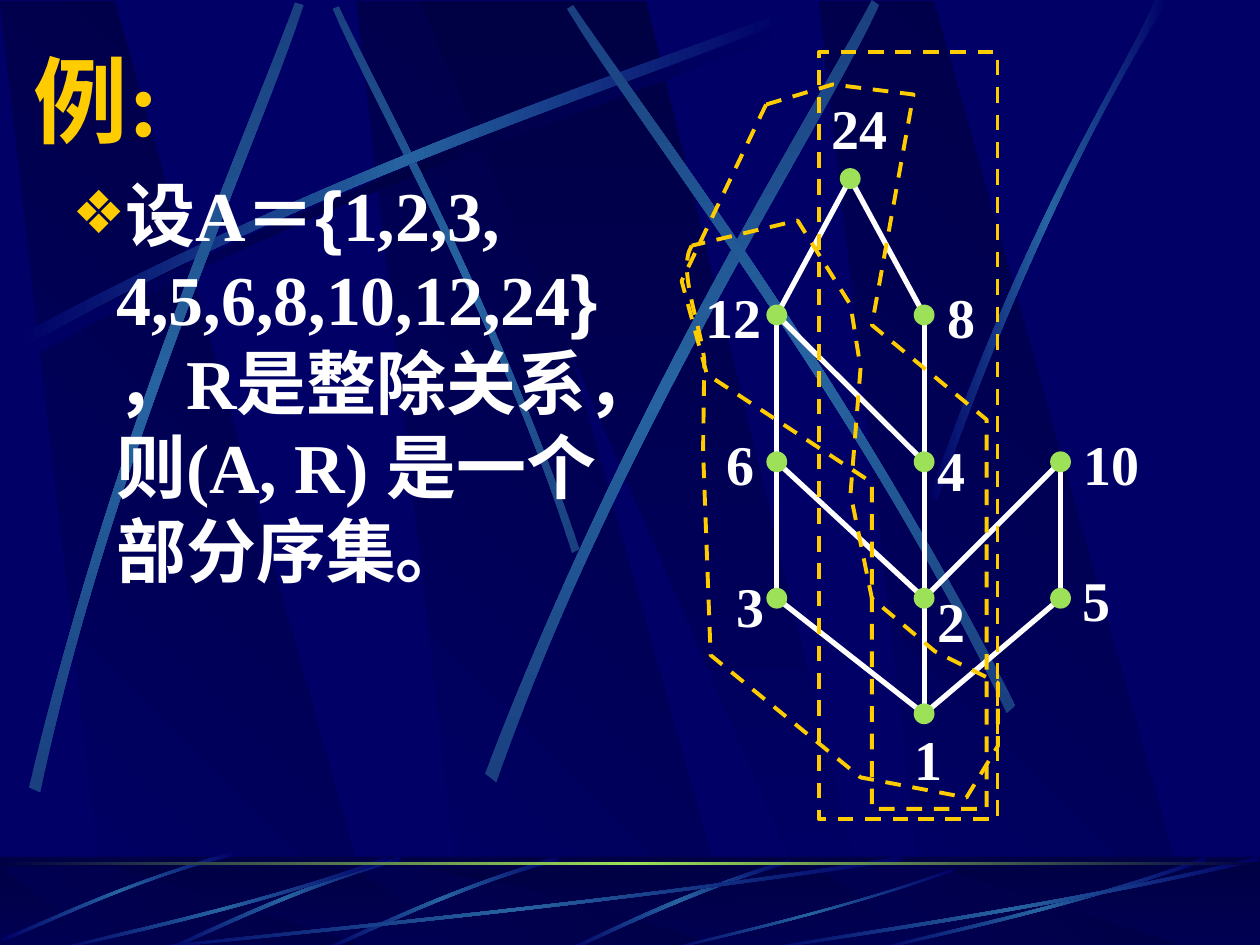
import copy

import pptx
import pptx.dml.color
import pptx.enum.dml
import pptx.enum.shapes
import pptx.enum.text
import pptx.oxml
import pptx.oxml.ns
import pptx.util

Cm = pptx.util.Cm
Pt = pptx.util.Pt
RGB = pptx.dml.color.RGBColor
SHAPE = pptx.enum.shapes.MSO_SHAPE
qn = pptx.oxml.ns.qn
NS = pptx.oxml.ns.nsdecls("a")

NAVY = RGB(0x00, 0x00, 0x66)
NIGHT = RGB(0x00, 0x00, 0x44)
STREAK = RGB(0x26, 0x63, 0xA0)
DIM_STREAK = RGB(0x1A, 0x40, 0x80)
GREEN = RGB(0x9C, 0xE1, 0x57)
GOLD = RGB(0xFF, 0xCC, 0x00)
WHITE = RGB(0xFF, 0xFF, 0xFF)
SERIF, SANS, CJK = "Times New Roman", "Arial", "Noto Sans CJK SC"

deck = pptx.Presentation()
deck.slide_width, deck.slide_height = Cm(25.4), Cm(19.05)
slide = deck.slides.add_slide(deck.slide_layouts[1])
slide.background.fill.solid()
slide.background.fill.fore_color.rgb = NAVY
shapes = slide.shapes


def outline(start, *segments):
    mils = [(segment[i] * 1000, segment[i + 1] * 1000)
            for segment in (start, *segments) for i in range(0, len(segment), 2)]
    builder = shapes.build_freeform(*mils[0], scale=Cm(2.54) / 1000)
    builder.add_line_segments(mils[1:], close=True)
    shape = builder.convert_to_shape()
    shape.shadow.inherit = False
    steps = iter(shape.element.spPr.findall(".//" + qn("a:lnTo")))
    for segment in segments:
        controls = [next(steps) for _ in range(len(segment) // 2)]
        if len(controls) == 3:
            curve = pptx.oxml.parse_xml(f"<a:cubicBezTo {NS}/>")
            controls[0].addprevious(curve)
            for control in controls:
                curve.append(control[0])
                control.getparent().remove(control)
    return shape


def paint(shape, colors, angle=0):
    shape.shadow.inherit = False
    shape.line.fill.background()
    if len(colors) == 1:
        shape.fill.solid()
        shape.fill.fore_color.rgb = colors[0]
        return
    shape.fill.gradient()
    shape.fill.gradient_angle = angle
    stop_list = shape.element.spPr.find(".//" + qn("a:gsLst"))
    for _ in colors[2:]:
        stop_list.append(copy.deepcopy(stop_list[-1]))
    for i, (stop, color) in enumerate(zip(shape.fill.gradient_stops, colors)):
        stop.position = i / (len(colors) - 1)
        stop.color.rgb = color


beams = [(2.83, 3.69, 5.85, 3.74), (0, 0.86, 3.02, 0.91), (6.5, 7.36, 9.52, 7.41)]
wide_beam = (3.33, 6.58, 6.94, 5.13)
fade = [NAVY, STREAK, NAVY]
steep = [DIM_STREAK, STREAK, DIM_STREAK]

upper_streaks = [
    ([NAVY, NIGHT, NAVY], 0, (0.2, 2.75), (2.84, 1.34, 5.24, 0.59, 6.26, 0.18),
     (6.29, 0.24), (5.28, 0.69, 2.54, 1.51, 0.23, 2.85)),
    (steep, 270, (4.6, 4.36), (3.91, 2.34, 3.02, 0.77, 2.69, 0.05),
     (2.64, 0.07), (2.95, 0.79, 3.98, 2.58, 4.54, 4.39)),
    (fade, 0, (0.14, 2.67), (2.78, 1.25, 5.18, 0.51, 6.2, 0.1),
     (6.23, 0.16), (5.22, 0.61, 2.48, 1.43, 0.17, 2.77)),
    (steep, 270, (0.23, 6.25), (0.93, 3.34, 1.97, 1.05, 2.34, 0.02),
     (2.41, 0.04), (2.07, 1.09, 0.86, 3.68, 0.32, 6.29)),
    (steep, 270, (3.85, 6.14), (4.98, 3.2, 6.38, 1.02, 6.92, 0),
     (6.98, 0.04), (6.49, 1.08, 4.86, 3.55, 3.94, 6.21)),
    (steep, 270, (8.06, 5.6), (6.7, 2.93, 5.16, 0.95, 4.55, 0.04),
     (4.5, 0.07), (5.07, 1.01, 6.85, 3.25, 7.99, 5.66)),
    (fade, 0, (7.38, 3.94), (8.14, 1.73, 8.88, 0.66, 9.17, 0),
     (9.27, 0), (8.36, 1.45, 7.69, 3.22, 7.44, 3.97)),
]
lower_streaks = [
    ((6.27, 6.82), (5.37, 7.09, 4.77, 7.42, 4.48, 7.54), (4.53, 7.55),
     (4.9, 7.37, 5.71, 7, 6.28, 6.85)),
    ((4.42, 6.8), (3.55, 7.05, 2.87, 7.4, 2.56, 7.53), (2.57, 7.55),
     (2.88, 7.43, 3.65, 7.03, 4.44, 6.83)),
    ((3.17, 6.8), (2.3, 7.05, 1.62, 7.4, 1.31, 7.53), (1.32, 7.55),
     (1.63, 7.43, 2.4, 7.03, 3.19, 6.83)),
    ((1.85, 6.76), (0.98, 7, 0.32, 7.33, 0.01, 7.45), (0.02, 7.47),
     (0.33, 7.36, 1.08, 6.97, 1.87, 6.79)),
    ((7.17, 6.83), (4.49, 7.23, 2.06, 7.44, 1.03, 7.55), (1, 7.54),
     (2.02, 7.41, 4.8, 7.18, 7.14, 6.8)),
    ((3.08, 6.83), (1.93, 7.23, 0.88, 7.44, 0.43, 7.55), (0.42, 7.54),
     (0.86, 7.41, 2.06, 7.18, 3.07, 6.8)),
    ((7.58, 6.91), (6.58, 7.26, 5.67, 7.45, 5.28, 7.55), (5.27, 7.54),
     (5.65, 7.43, 6.69, 7.22, 7.57, 6.89)),
    ((9.58, 6.83), (8.43, 7.23, 7.38, 7.44, 6.93, 7.55), (6.92, 7.54),
     (7.36, 7.41, 8.56, 7.18, 9.57, 6.8)),
    ((10, 6.83), (8.27, 7.23, 6.69, 7.44, 6.02, 7.55), (6, 7.54),
     (6.66, 7.41, 8.46, 7.18, 9.98, 6.8)),
]

floor_box = (0, Cm(17.27), Cm(25.4), Cm(1.9))
for top, bottom in ((0.01, 7.52), (6.88, 7.55)):
    if top > 1:
        for colors, angle, *edge_points in upper_streaks:
            paint(outline(*edge_points), colors, angle)
        paint(shapes.add_shape(SHAPE.RECTANGLE, *floor_box), [NIGHT, NAVY], 270)
    for a, b, c, d in beams:
        paint(outline((b, bottom), (c, bottom), (d, top), (a, top)), [NAVY, NIGHT], 45)
    a, b, c, d = wide_beam
    paint(outline((a, top), (b, bottom), (c, bottom), (d, top)), [NIGHT, NAVY], 270)

veil = shapes.add_shape(SHAPE.RECTANGLE, *floor_box)
paint(veil, [NIGHT])
veil_color = veil.element.spPr.find(".//" + qn("a:srgbClr"))
veil_color.append(pptx.oxml.parse_xml(f'<a:alpha {NS} val="50000"/>'))
for streak in lower_streaks:
    paint(outline(*streak), fade)
horizon = shapes.add_shape(SHAPE.RECTANGLE, 0, Cm(17.37), Cm(25.4), Cm(0.06))
paint(horizon, [NIGHT, GREEN, NIGHT])

title, body = shapes.title, slide.placeholders[1]
premise = body.text_frame.paragraphs[0]
bullet_format = premise._p.get_or_add_pPr()
bullet_format.set("marL", str(Cm(1.2)))
bullet_format.set("indent", str(-Cm(0.89)))
for tag in (f'buClr {NS}><a:srgbClr val="{GOLD}"/></a:buClr',
            f'buSzPct {NS} val="85000"/',
            f'buChar {NS} char="❖"/'):
    bullet_format.append(pptx.oxml.parse_xml(f"<a:{tag}>"))
premise.line_spacing = Pt(48)

statement = [("设A＝", SERIF), ("{", SANS), ("1,2,3, 4,5,6,8,10,12,24", SERIF), ("}", SANS),
             ("，R是整除关系，则(A, R) ", SERIF), ("是一个部分序集。", CJK)]
texts = [
    (title, (0.43, 0.71, 24.13, 2.54), [("例:", SERIF)], 54, GOLD),
    (body, (0.89, 3.33, 11.86, 14.4), statement, 40, WHITE),
]
for holder, box, pieces, size, color in texts:
    shapes.element.append(holder.element)
    holder.left, holder.top, holder.width, holder.height = map(Cm, box)
    holder.text_frame.auto_size = pptx.enum.text.MSO_AUTO_SIZE.NONE
    paragraph = holder.text_frame.paragraphs[0]
    paragraph.alignment = pptx.enum.text.PP_ALIGN.LEFT
    paragraph.space_before = Pt(0)
    for text, face in pieces:
        run = paragraph.add_run()
        run.text = text
        for key, value in {"name": face, "size": Pt(size), "bold": True}.items():
            setattr(run.font, key, value)
        run.font.color.rgb = color
title.text_frame.vertical_anchor = pptx.enum.text.MSO_ANCHOR.MIDDLE
body.text_frame.margin_right = Cm(0.59)

left, middle, right = 15.66, 18.63, 21.38
nodes = {
    "24": (17.14, 3.6, 16.51, 1.48),
    "12": (left, 6.35, 13.97, 5.29),
    "8": (middle, 6.35, 18.85, 5.29),
    "6": (left, 9.31, 14.4, 8.26),
    "4": (middle, 9.31, 18.64, 8.38),
    "10": (right, 9.31, 21.59, 8.26),
    "3": (left, 12.06, 14.59, 11.13),
    "2": (middle, 12.06, 18.64, 11.43),
    "5": (right, 12.06, 21.57, 11),
    "1": (middle, 14.39, 18.19, 14.2),
}
covers = "12-4 10-2 6-2 24-8 24-12 10-5 8-1 5-1 1-3 12-3"
for cover in covers.split():
    ends = [Cm(value) for number in cover.split("-") for value in nodes[number][:2]]
    edge = shapes.add_connector(pptx.enum.shapes.MSO_CONNECTOR.STRAIGHT, *ends)
    edge.line.color.rgb, edge.line.width = WHITE, Pt(3)
    edge.element.spPr.append(pptx.oxml.parse_xml(f"<a:effectLst {NS}/>"))

diameter = 0.42
for number, (x, y, label_left, label_top) in nodes.items():
    dot = shapes.add_shape(SHAPE.OVAL, Cm(x - diameter / 2), Cm(y - diameter / 2),
                           Cm(diameter), Cm(diameter))
    paint(dot, [GREEN])
    label = shapes.add_textbox(Cm(label_left), Cm(label_top),
                               Cm(0.51 + 0.56 * len(number)), Cm(1.88))
    label.text_frame.word_wrap = False
    caption = label.text_frame.paragraphs[0]
    caption.text, caption.line_spacing = number, 1.2
    for key, value in {"name": SERIF, "size": Pt(32), "bold": True}.items():
        setattr(caption.runs[0].font, key, value)
    caption.runs[0].font.color.rgb = WHITE

subsets = [
    shapes.add_shape(SHAPE.RECTANGLE, Cm(16.51), Cm(1.05), Cm(3.6), Cm(15.46)),
    outline((5.49, 1.95), (5.37, 2.14, 5.57, 2.6, 5.59, 2.87), (5.58, 3.58), (5.64, 5.2),
            (6.83, 6.17), (7.67, 6.33), (7.92, 5.92), (7.92, 5.42), (7.42, 5.17),
            (6.92, 4.75), (6.75, 3.92), (6.83, 2.92), (6.75, 2.42), (6.33, 1.75)),
    outline((6.08, 0.83), (5.41, 2.23), (5.61, 2.97), (6.92, 3.83), (6.92, 6.42),
            (7.83, 6.42), (7.83, 3.33), (6.92, 2.58), (7.25, 0.75), (6.61, 0.67)),
]
for subset in subsets:
    subset.shadow.inherit = False
    subset.fill.background()
    subset.line.color.rgb = GOLD
    subset.line.width = Pt(2.25)
    subset.line.dash_style = pptx.enum.dml.MSO_LINE.DASH

deck.save("out.pptx")
